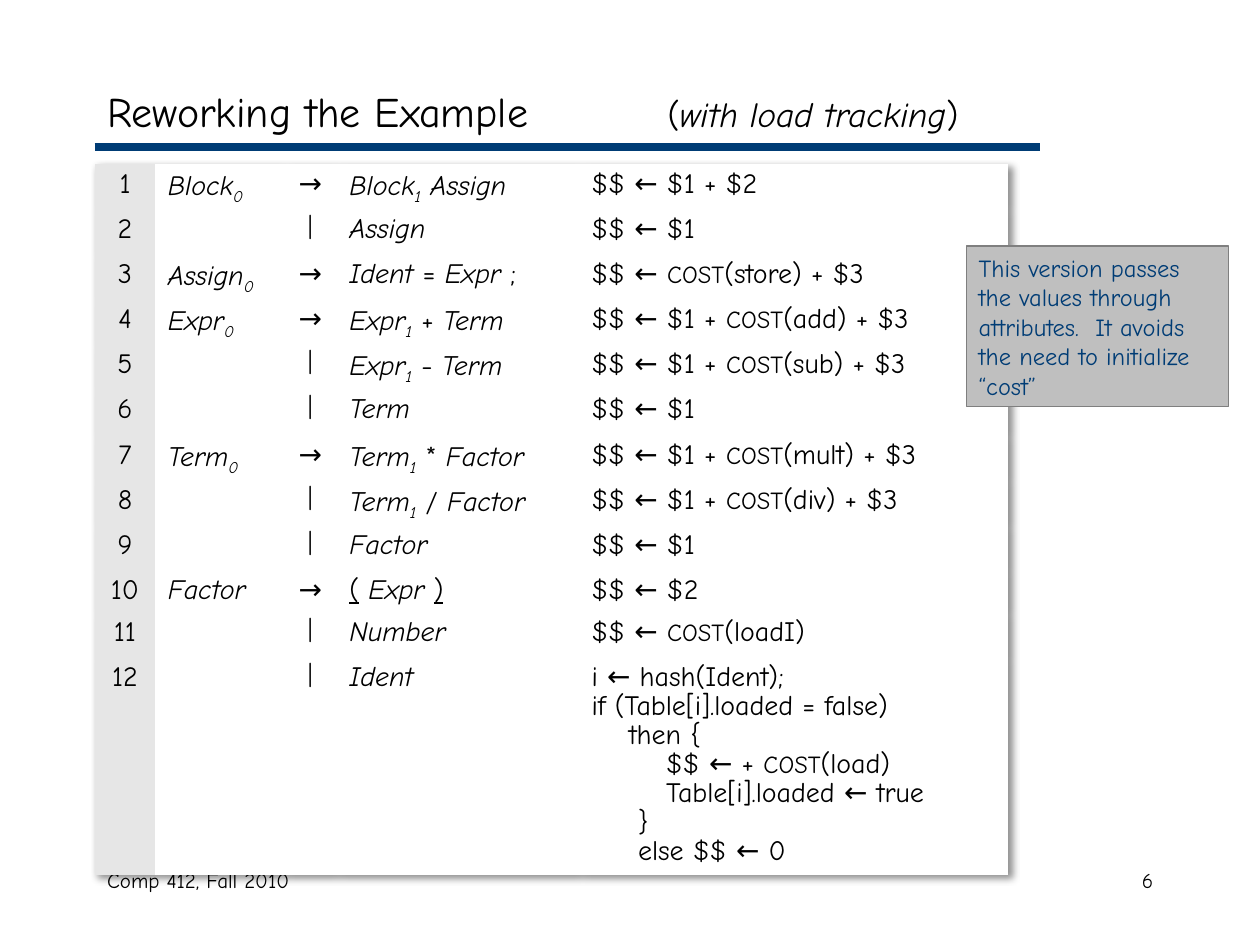
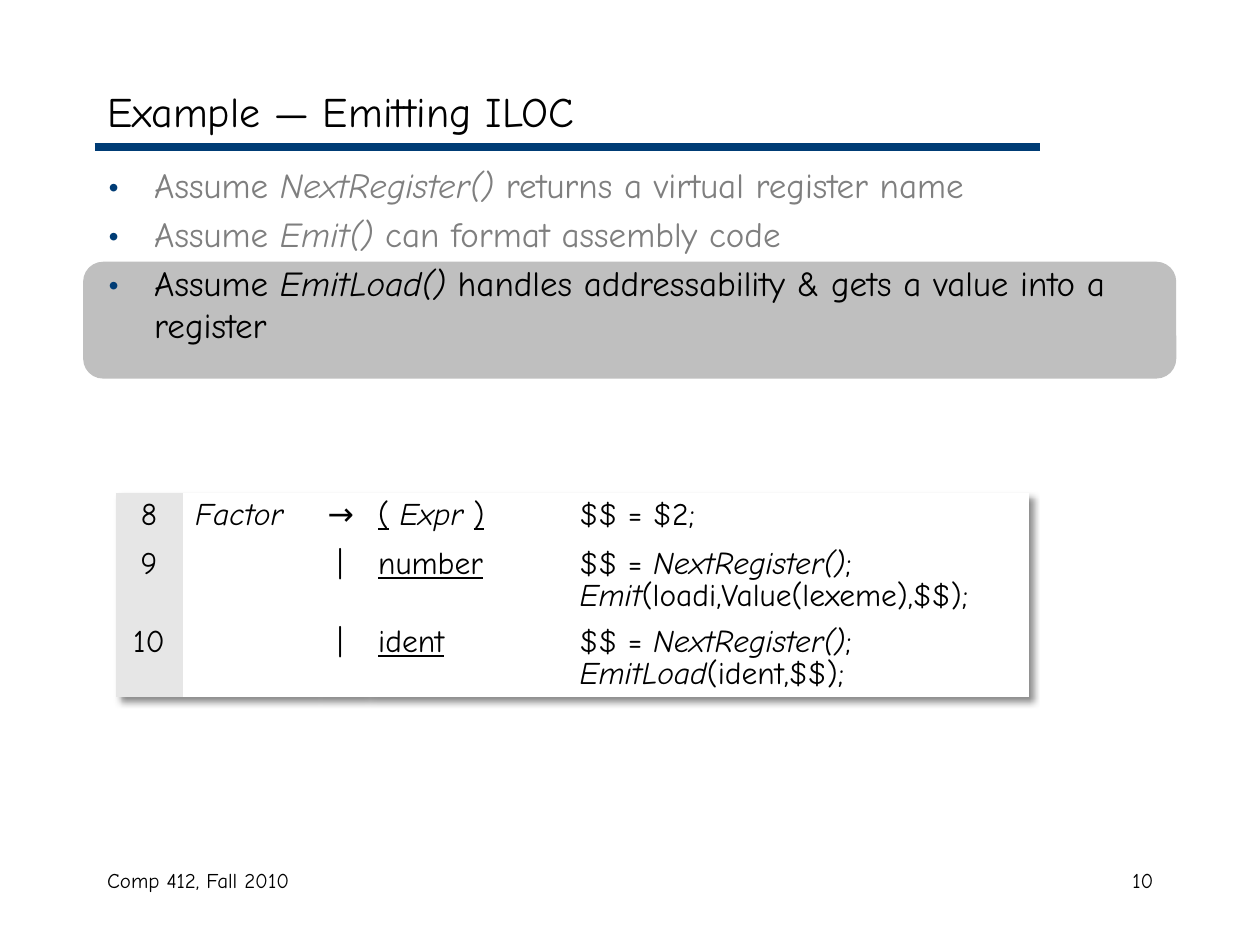
"""Build two compiler-course slides: load tracking and emitting ILOC."""
import lxml.etree
import pptx
import pptx.dml.color
import pptx.enum.shapes
import pptx.enum.text
import pptx.oxml
import pptx.oxml.ns
import pptx.util

Cm, Pt = pptx.util.Cm, pptx.util.Pt
ALIGN = pptx.enum.text.PP_ALIGN
ANCHOR = pptx.enum.text.MSO_ANCHOR
SHAPE = pptx.enum.shapes.MSO_SHAPE
qn = pptx.oxml.ns.qn

FONT = "Comic Neue"
COLORS = {"ink": "000000", "navy": "003C75", "muted": "7F7F7F",
          "panel": "BFBFBF", "number": "E6E6E6", "paper": "FFFFFF"}
MARKS = {"~": "italic", "_": "underline", "^": "subscript", "#": "small"}
PLAIN_TABLE = "{2D5ABB26-0587-4C30-8999-92F81FD0307C}"
LEFT = 1.91
WIDTH = 21.6

COST_COLUMNS = [1.22, 2.59, 1.07, 4.88, 8.66]
COST_HEIGHTS = [0.91] * 9 + [0.85, 0.91, 4.33]
COST_RULES = [
    ("~Block^0^~", "→", "~Block^1^ Assign~", "$$ ← $1 + $2"),
    ("", "#|#", "~Assign~", "$$ ← $1"),
    ("~Assign^0^~", "→", "~Ident ~= ~Expr ~;", "$$ ← #COST#(store) + $3"),
    ("~Expr^0^~", "→", "~Expr^1^ ~+ ~Term~", "$$ ← $1 + #COST#(add) + $3"),
    ("", "#|#", "~Expr^1^ ~-~ Term~", "$$ ← $1 + #COST#(sub) + $3"),
    ("", "#|#", "~Term~", "$$ ← $1"),
    ("~Term^0^~", "→", "~Term^1^ ~* ~Factor~", "$$ ← $1 + #COST#(mult) + $3"),
    ("", "#|#", "~Term^1^ ~/ ~Factor~", "$$ ← $1 + #COST#(div) + $3"),
    ("", "#|#", "~Factor~", "$$ ← $1"),
    ("~Factor~", "→", "_(_ ~Expr ~_)_", "$$ ← $2"),
    ("", "#|#", "~Number~", "$$ ← #COST#(loadI)"),
    ("", "#|#", "~Ident~", """i ← hash(Ident);
if (Table[i].loaded = false)
    then {
        $$ ← + #COST#(load)
        Table[i].loaded ← true
     }
     else $$ ← 0"""),
]
EMIT_COLUMNS = [1.35, 2.67, 1.02, 4.06, 9.32]
EMIT_HEIGHTS = [0.99, 1.57, 1.57]
EMIT_RULES = [
    ("~Factor~", "→", "_(_ ~Expr ~_)_", "$$ = $2;"),
    ("", "|", "_number_",
     "$$ = ~NextRegister()~;\n~Emit~(loadi,Value(lexeme),$$);"),
    ("", "|", "_ident_", "$$ = ~NextRegister()~;\n~EmitLoad~(ident,$$);"),
]
ASSUMPTIONS = [
    ("Assume ~NextRegister() ~returns a virtual register name", "muted"),
    ("Assume ~Emit()~ can format assembly code", "muted"),
    ("Assume ~EmitLoad() ~handles addressability & gets a value into a register",
     "ink"),
]


def rgb(color):
    """Return the named colour."""
    return pptx.dml.color.RGBColor.from_string(COLORS[color])


def split_runs(text):
    """Yield (text, active styles) pairs from text with toggle marks."""
    active, piece = set(), ""
    for char in text:
        if char in MARKS:
            if piece:
                yield piece, active
            active, piece = active ^ {MARKS[char]}, ""
        else:
            piece += char
    if piece:
        yield piece, active


def write(frame, text, size=16, small=14, color="ink", align=ALIGN.LEFT,
          spacing=None, before=0, bullet=False, tab=None, append=False):
    """Write marked-up text into a frame, one paragraph a line."""
    for index, line in enumerate(text.split("\n")):
        fresh = append or index > 0
        paragraph = frame.add_paragraph() if fresh else frame.paragraphs[0]
        paragraph.alignment = align
        if spacing:
            paragraph.line_spacing = spacing
        if before:
            paragraph.space_before = Pt(before)
        if bullet:
            add_bullet(paragraph)
        if tab:
            stops = lxml.etree.SubElement(paragraph._p.get_or_add_pPr(), qn("a:tabLst"))
            lxml.etree.SubElement(stops, qn("a:tab"), pos=str(Cm(tab)), algn="l")
        for piece, styles in split_runs(line):
            run = paragraph.add_run()
            run.text = piece
            font = run.font
            font.name = FONT
            font.size = Pt(small if "small" in styles else size)
            font.color.rgb = rgb(color)
            font.italic = "italic" in styles
            font.underline = "underline" in styles
            if "subscript" in styles:
                font._element.set("baseline", "-25000")


def add_bullet(paragraph):
    """Give a paragraph a hanging navy bullet."""
    properties = paragraph._p.get_or_add_pPr()
    properties.set("marL", str(Cm(0.95)))
    properties.set("indent", str(-Cm(0.95)))
    tint = lxml.etree.SubElement(properties, qn("a:buClr"))
    lxml.etree.SubElement(tint, qn("a:srgbClr"), val=COLORS["navy"])
    lxml.etree.SubElement(properties, qn("a:buSzPct"), val="120000")
    lxml.etree.SubElement(properties, qn("a:buFont"), typeface=FONT)
    lxml.etree.SubElement(properties, qn("a:buChar"), char="•")


def add_text(slide, text, left, top, width, height, anchor=ANCHOR.TOP, **style):
    """Add a wrapping text box and return its frame."""
    frame = slide.shapes.add_textbox(Cm(left), Cm(top), Cm(width), Cm(height)).text_frame
    frame.word_wrap = True
    frame.vertical_anchor = anchor
    write(frame, text, **style)
    return frame


def add_panel(slide, preset, left, top, width, height, border):
    """Add a grey panel and return it."""
    panel = slide.shapes.add_shape(preset, Cm(left), Cm(top), Cm(width), Cm(height))
    panel.shadow.inherit = False
    panel.fill.solid()
    panel.fill.fore_color.rgb = rgb("panel")
    panel.line.color.rgb = rgb(border)
    panel.line.width = Pt(0.75)
    return panel


def add_table_shadow(table):
    """Drop a soft shadow behind a table and remove its banded style."""
    table.first_row = table.horz_banding = False
    properties = table._tbl.tblPr
    properties.find(qn("a:tableStyleId")).text = PLAIN_TABLE
    effects = lxml.etree.Element(qn("a:effectLst"))
    shadow = lxml.etree.SubElement(effects, qn("a:outerShdw"), blurRad="50800",
                                   dist="38100", dir="2700000", algn="tl")
    tint = lxml.etree.SubElement(shadow, qn("a:srgbClr"), val=COLORS["ink"])
    lxml.etree.SubElement(tint, qn("a:alpha"), val="43000")
    properties.insert(0, effects)


def fill_cell(cell, text, column, size):
    """Fill one grammar cell; number and arrow columns are centred."""
    cell.fill.solid()
    cell.fill.fore_color.rgb = rgb("paper" if column else "number")
    cell.margin_bottom = 0
    align = ALIGN.CENTER if column in (0, 2) else ALIGN.LEFT
    write(cell.text_frame, text, size=size, align=align, spacing=0.9)
    if not text:
        end = lxml.etree.SubElement(cell.text_frame.paragraphs[0]._p,
                                    qn("a:endParaRPr"), sz="1400")
        lxml.etree.SubElement(end, qn("a:latin"), typeface=FONT)


def add_grammar(slide, rules, first, left, top, columns, heights, size):
    """Add a table of numbered productions with their actions."""
    table = slide.shapes.add_table(
        len(rules), len(columns), Cm(left), Cm(top), Cm(sum(columns)),
        Cm(sum(heights))).table
    add_table_shadow(table)
    for column, width in zip(table.columns, columns):
        column.width = Cm(width)
    for row, (rule, height) in enumerate(zip(rules, heights)):
        table.rows[row].height = Cm(height)
        for column, text in enumerate((str(first + row), *rule)):
            fill_cell(table.cell(row, column), text, column, size)


def add_rule(slide):
    """Draw the navy rule under the title."""
    rule = slide.shapes.add_connector(pptx.enum.shapes.MSO_CONNECTOR.STRAIGHT,
                                      Cm(LEFT), Cm(2.96), Cm(20.96), Cm(2.96))
    rule.line.color.rgb = rgb("navy")
    rule.line.width = Pt(4.5)
    lxml.etree.SubElement(rule._element.spPr, qn("a:effectLst"))


def start_slide(deck, title, number):
    """Add a slide with rule, title and footer."""
    slide = deck.slides.add_slide(deck.slide_layouts[6])
    add_rule(slide)
    add_text(slide, title, LEFT, 1.5, WIDTH, 1.48, ANCHOR.MIDDLE,
             size=24, small=20, tab=11.3)
    add_text(slide, "Comp 412, Fall 2010", LEFT, 17.36, 8.05, 1.27, size=12)
    add_text(slide, number, 18.2, 17.36, 5.3, 1.27, size=12, align=ALIGN.RIGHT)
    return slide


def build_load_tracking(deck):
    """Build the slide on cost attributes with load tracking."""
    slide = start_slide(deck, "Reworking the Example\t#(~with load tracking~)#", "6")
    add_grammar(slide, COST_RULES, 1, LEFT, 3.3, COST_COLUMNS, COST_HEIGHTS, 16)
    remark = add_panel(slide, SHAPE.RECTANGLE, 19.48, 4.96, 5.29, 3.24, "muted")
    remark.text_frame.word_wrap = True
    write(remark.text_frame, "This version passes the values through attributes.  "
          "It avoids the need to initialize “cost”", size=14, color="navy")


def build_emitting(deck):
    """Build the slide on emitting ILOC."""
    slide = start_slide(deck, "Example — Emitting ILOC", "10")
    add_panel(slide, SHAPE.ROUNDED_RECTANGLE, 1.69, 5.29, 22.01, 2.33, "panel")
    (text, color), *others = ASSUMPTIONS
    frame = add_text(slide, text, LEFT, 3.18, WIDTH, 13.76, size=20,
                     color=color, bullet=True)
    for text, color in others:
        write(frame, text, size=20, color=color, bullet=True, before=4, append=True)
    add_grammar(slide, EMIT_RULES, 8, 2.33, 9.93, EMIT_COLUMNS, EMIT_HEIGHTS, 18)


def main():
    """Build and save the deck."""
    deck = pptx.Presentation()
    deck.slide_width, deck.slide_height = Cm(25.4), Cm(19.05)
    build_load_tracking(deck)
    build_emitting(deck)
    deck.save("out.pptx")


if __name__ == "__main__":
    main()
